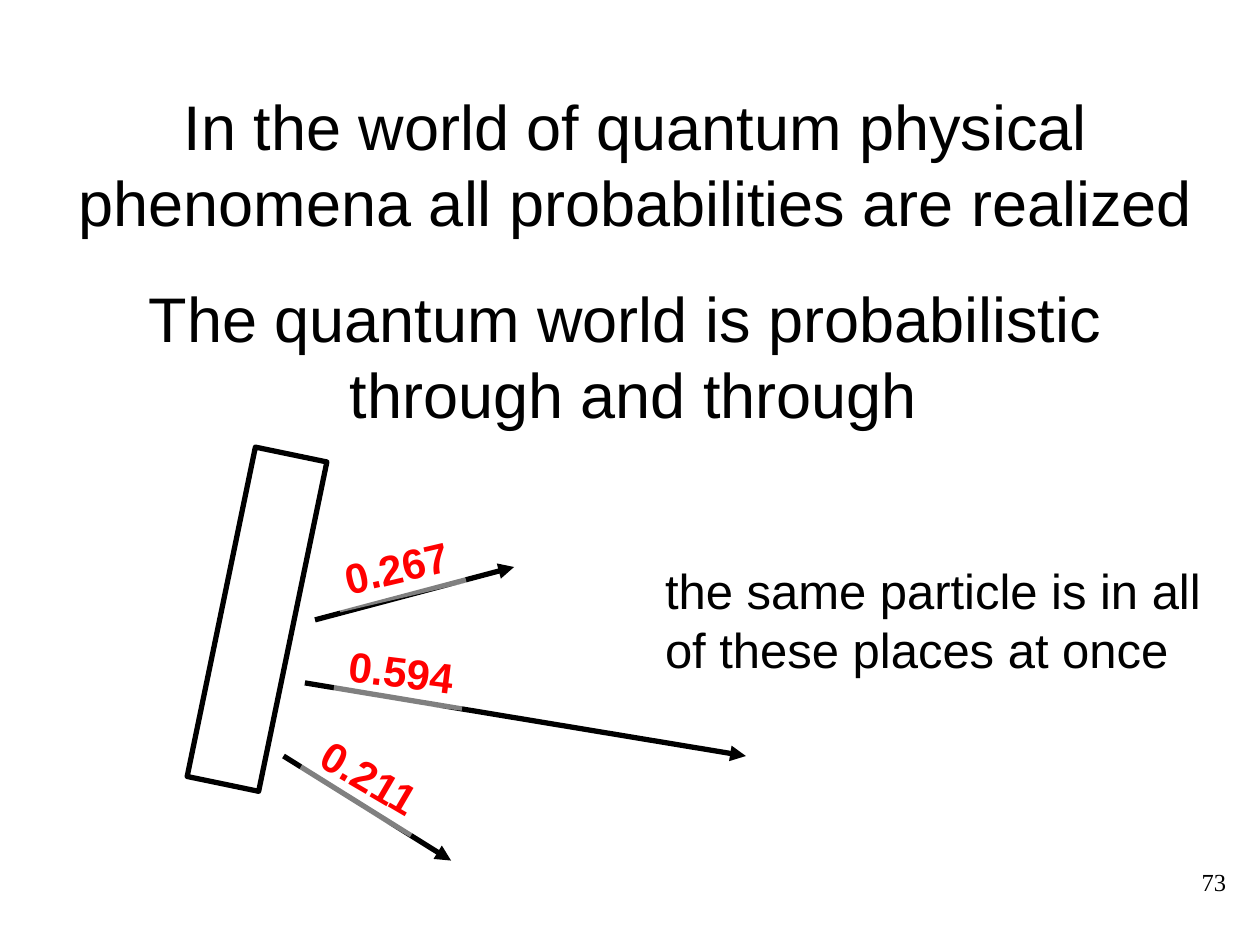
from lxml import etree
from pptx import Presentation
from pptx.dml.color import RGBColor
from pptx.enum.shapes import MSO_CONNECTOR, MSO_SHAPE
from pptx.enum.text import MSO_ANCHOR, PP_ALIGN
from pptx.oxml.ns import qn
from pptx.util import Inches, Pt

LEFT, CENTER, RIGHT = PP_ALIGN.LEFT, PP_ALIGN.CENTER, PP_ALIGN.RIGHT
TOP, MIDDLE = MSO_ANCHOR.TOP, MSO_ANCHOR.MIDDLE
RECT, STRAIGHT = MSO_SHAPE.RECTANGLE, MSO_CONNECTOR.STRAIGHT
BLACK, WHITE, RED = "000000", "FFFFFF", "FF0000"
LINE_WIDTH = Pt(3)

# box, lines, size, font, alignment, anchor, wrap
TEXTS = [
    ((0.42, 0.67, 9.25, 1.25),
     ["In the world of quantum physical phenomena all probabilities are realized"],
     36, "Arial", CENTER, MIDDLE, True),
    ((1.08, 2.17, 7.76, 1.3),
     ["The quantum world is probabilistic", " through and through"],
     36, "Arial", CENTER, TOP, False),
    ((5.18, 4.4, 4.56, 1.04),
     ["the same particle is in all ", "of these places at once"],
     28, "Arial", LEFT, TOP, False),
    ((7.75, 6.83, 2.08, 0.5), ["73"], 14, "Times New Roman", RIGHT, TOP, True),
]
SPLITTER, SPLITTER_ANGLE = (1.75, 3.58, 0.58, 2.67), 11.7
ARROWS = [
    (2.5, 4.92, 4.08, 4.5),
    (2.42, 5.42, 5.92, 6),
    (2.25, 6, 3.58, 6.83),
]
# probability, left, top, rotation
PROBABILITIES = [
    ("0.267", 2.63, 4.25, 346.8),
    ("0.594", 2.67, 5.08, 7.1),
    ("0.211", 2.42, 5.92, 30.3),
]
LABEL_SIZE = (1.03, 0.5)


def rgb(color):
    return RGBColor.from_string(color)


def inches(values):
    return [Inches(v) for v in values]


def write(shape, lines, size, font, color, align, anchor, wrap, bold=False):
    tf = shape.text_frame
    tf.word_wrap = wrap
    tf.vertical_anchor = anchor
    p = tf.paragraphs[0]
    p.alignment = align
    for i, line in enumerate(lines):
        if i:
            p.add_line_break()
        r = p.add_run()
        r.text = line
        r.font.size = Pt(size)
        r.font.name = font
        r.font.bold = bold
        r.font.color.rgb = rgb(color)


def add_rect(shapes, box, angle):
    sp = shapes.add_shape(RECT, *inches(box))
    sp.shadow.inherit = False
    sp.rotation = angle
    sp.fill.solid()
    sp.fill.fore_color.rgb = rgb(WHITE)
    return sp


def add_arrow(shapes, ends):
    arrow = shapes.add_connector(STRAIGHT, *inches(ends))
    arrow.line.color.rgb = rgb(BLACK)
    arrow.line.width = LINE_WIDTH
    etree.SubElement(arrow.line._get_or_add_ln(), qn("a:tailEnd"), type="triangle")
    etree.SubElement(arrow._element.spPr, qn("a:effectLst"))


def add_probability(shapes, text, left, top, angle):
    sp = add_rect(shapes, (left, top, *LABEL_SIZE), angle)
    sp.line.fill.background()
    color = sp._element.spPr.find(qn("a:solidFill"))[0]
    etree.SubElement(color, qn("a:alpha"), val="50000")
    write(sp, [text], 24, "Arial", RED, CENTER, TOP, False, bold=True)


prs = Presentation()
prs.slide_width, prs.slide_height = Inches(10), Inches(7.5)
s = prs.slides.add_slide(prs.slide_layouts[6])

for box, lines, size, font, align, anchor, wrap in TEXTS:
    write(s.shapes.add_textbox(*inches(box)), lines, size, font, BLACK, align, anchor, wrap)

diagram = s.shapes.add_group_shape().shapes
splitter = add_rect(diagram, SPLITTER, SPLITTER_ANGLE)
splitter.line.color.rgb = rgb(BLACK)
splitter.line.width = LINE_WIDTH
for ends in ARROWS:
    add_arrow(diagram, ends)
for label in PROBABILITIES:
    add_probability(diagram, *label)

prs.save("out.pptx")
